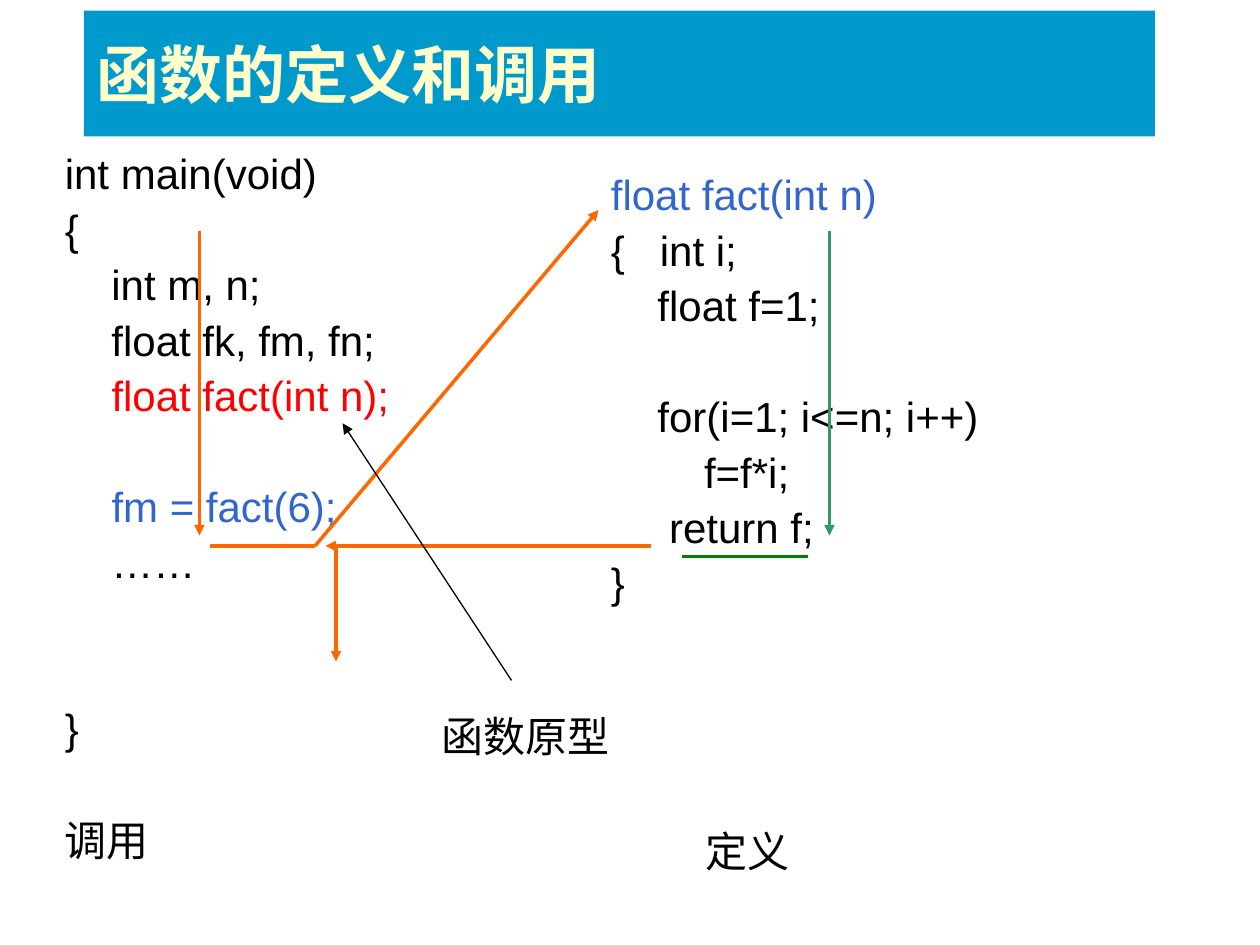
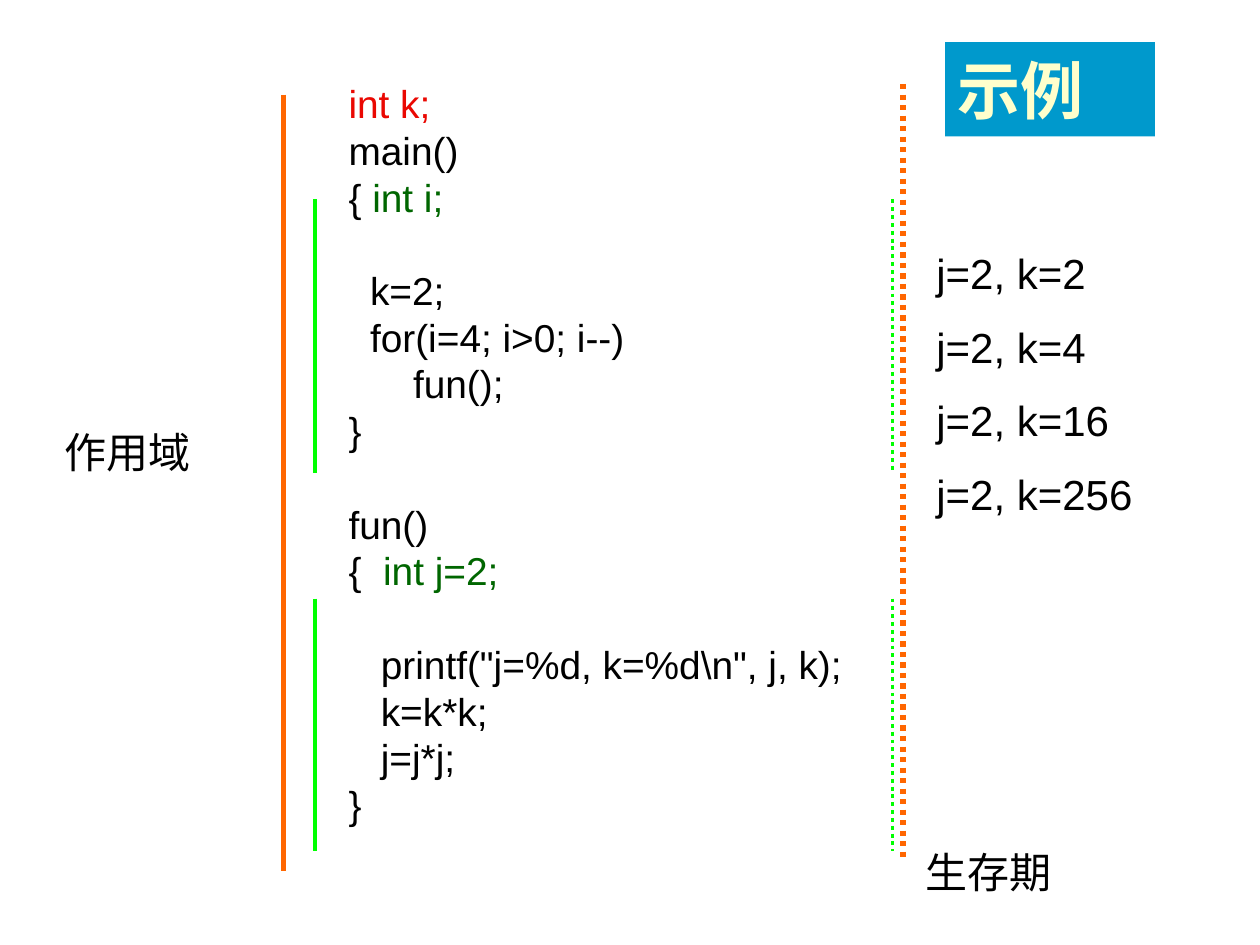
"""Build two slides on C functions: definition and call, then scope and lifetime."""
import dataclasses

import lxml.etree
import pptx
import pptx.dml.color
import pptx.enum.dml
import pptx.enum.shapes
import pptx.enum.text
import pptx.oxml.ns
import pptx.util

Pt = pptx.util.Pt
ANCHOR = pptx.enum.text.MSO_ANCHOR
ALIGN = pptx.enum.text.PP_ALIGN


@dataclasses.dataclass(frozen=True)
class Theme:
    band: str = "0099CC"
    title: str = "FFFFCC"
    ink: str = "000000"
    prototype: str = "FF0000"
    call: str = "3366CC"
    global_name: str = "EA0802"
    local_name: str = "006600"
    flow: str = "FF6600"
    inner_flow: str = "339966"
    result: str = "008000"
    local_span: str = "00FF00"
    title_font: str = "Montserrat"
    code_font: str = "Arial"
    label_font: str = "Calibri"
    title_size: float = 36
    text_size: float = 24
    listing_size: float = 22.2


theme = Theme()
TITLE = {"name": theme.title_font, "size": Pt(theme.title_size), "bold": True}
CODE = {"name": theme.code_font, "size": Pt(theme.text_size)}
LISTING = {"name": theme.code_font, "size": Pt(theme.listing_size)}
LABEL = {"name": theme.label_font, "size": Pt(theme.text_size)}


def write_text(box, lines, font_values, pitch=None, color=theme.ink, align=ALIGN.LEFT, **frame_values):
    """Fill a box with lines of (text, colour) spans; an empty line widens the gap."""
    frame = box.text_frame
    frame_format = {
        "word_wrap": True,
        "auto_size": pptx.enum.text.MSO_AUTO_SIZE.NONE,
        "vertical_anchor": ANCHOR.TOP,
        "margin_left": Pt(7.2),
        "margin_right": Pt(7.2),
        "margin_top": Pt(3.6),
        "margin_bottom": Pt(3.6),
    }
    for name, value in {**frame_format, **frame_values}.items():
        setattr(frame, name, value)
    para, gap = frame.paragraphs[0], 0
    for line in lines:
        if not line:
            gap += pitch
            continue
        if para.runs:
            para = frame.add_paragraph()
        para_format = {"alignment": align, "space_before": Pt(gap)}
        if pitch:
            para_format["line_spacing"] = Pt(pitch)
        for name, value in para_format.items():
            setattr(para, name, value)
        gap = 0
        for text, span_color in [(line, color)] if isinstance(line, str) else line:
            span = para.add_run()
            span.text = text
            for name, value in font_values.items():
                setattr(span.font, name, value)
            span.font.color.rgb = pptx.dml.color.RGBColor.from_string(span_color)


def draw_line(page, start, end, color, width, arrow=False, dotted=False):
    """Draw a straight line, with an arrowhead or dots where asked."""
    line = page.shapes.add_connector(
        pptx.enum.shapes.MSO_CONNECTOR.STRAIGHT, *map(Pt, start + end))
    line.line.color.rgb = pptx.dml.color.RGBColor.from_string(color)
    line.line.width = Pt(width)
    if dotted:
        line.line.dash_style = pptx.enum.dml.MSO_LINE.ROUND_DOT
    properties = line._element.spPr
    if arrow:
        lxml.etree.SubElement(
            properties.find(pptx.oxml.ns.qn("a:ln")), pptx.oxml.ns.qn("a:tailEnd"), type="triangle")
    lxml.etree.SubElement(properties, pptx.oxml.ns.qn("a:effectLst"))


deck = pptx.Presentation()
deck.slide_width, deck.slide_height = Pt(720), Pt(540)

pages = []
for heading, place in [
    ("函数的定义和调用", (48, 6, 612, 72)),
    ("示例", (540, 24, 120, 54)),
]:
    page = deck.slides.add_slide(deck.slide_layouts[5])
    title = page.shapes.title
    for name, value in zip(("left", "top", "width", "height"), place):
        setattr(title, name, Pt(value))
    title.fill.solid()
    title.fill.fore_color.rgb = pptx.dml.color.RGBColor.from_string(theme.band)
    write_text(title, [heading], TITLE, color=theme.title, vertical_anchor=ANCHOR.MIDDLE)
    pages.append(page)
call_page, scope_page = pages

caller_lines = [
    "int main(void)",
    "{",
    "    int m, n;",
    "    float fk, fm, fn;",
    [("    ", theme.ink), ("float fact(int n);", theme.prototype)],
    "",
    [("    ", theme.ink), ("fm = fact(6);", theme.call)],
    "    ……",
    "",
    "",
    "}",
]
definition_lines = [
    [("float fact(int n)", theme.call)],
    "{   int i;",
    "    float f=1;",
    "",
    "    for(i=1; i<=n; i++)",
    "        f=f*i;",
    "     return f;",
    "}",
]
for place, lines in [
    ((30, 78, 258, 378), caller_lines),
    ((342, 90, 270, 258), definition_lines),
]:
    box = call_page.shapes.add_textbox(*map(Pt, place))
    write_text(box, lines, CODE, pitch=31.7)

for start, end, color, arrow in [
    ((114, 132), (114, 306), theme.flow, True),
    ((120, 312), (180, 312), theme.flow, False),
    ((180, 312), (342, 120), theme.flow, True),
    ((474, 132), (474, 306), theme.inner_flow, True),
    ((390, 318), (462, 318), theme.result, False),
    ((372, 312), (186, 312), theme.flow, True),
    ((192, 312), (192, 378), theme.flow, True),
]:
    draw_line(call_page, start, end, color, 2, arrow)

prototype_label = call_page.shapes.add_textbox(Pt(235.4), Pt(394.6), Pt(130.3), Pt(51.1))
write_text(prototype_label, ["函数原型"], LABEL, align=ALIGN.CENTER,
           vertical_anchor=ANCHOR.MIDDLE, word_wrap=False)
draw_line(call_page, (292.3, 388.8), (195.8, 241.9), theme.ink, 0.75, arrow=True)

program_lines = [
    [("int k;", theme.global_name)],
    "main()",
    [("{ ", theme.ink), ("int i;", theme.local_name)],
    "",
    "  k=2;",
    "  for(i=4; i>0; i--)",
    "      fun();",
    "}",
    "",
    "fun()",
    [("{  ", theme.ink), ("int j=2;", theme.local_name)],
    "",
    "   printf(\"j=%d, k=%d\\n\", j, k);",
    "   k=k*k;",
    "   j=j*j;",
    "}",
]
program = scope_page.shapes.add_textbox(Pt(156), Pt(42), Pt(402), Pt(462))
write_text(program, program_lines, LISTING, pitch=26.7, margin_left=Pt(43.2))

for global_x, local_x, global_top, dotted in [(162, 180, 54, False), (516, 510, 48, True)]:
    draw_line(scope_page, (global_x, global_top), (global_x, global_top + 444),
              theme.flow, 3, dotted=dotted)
    for top, bottom in [(114, 270), (342, 486)]:
        draw_line(scope_page, (local_x, top), (local_x, bottom),
                  theme.local_span, 2.25, dotted=dotted)

for row, k in enumerate([2, 4, 16, 256]):
    box = scope_page.shapes.add_textbox(Pt(528), Pt(138 + 42 * row), Pt(144), Pt(36))
    write_text(box, [f"j=2, k={k}"], CODE, pitch=28.8)

for page, label, left, top in [
    (call_page, "调用", 30, 462),
    (call_page, "定义", 396, 468),
    (scope_page, "作用域", 30, 240),
    (scope_page, "生存期", 522, 480),
]:
    box = page.shapes.add_textbox(Pt(left), Pt(top), Pt(90), Pt(36))
    write_text(box, [label], LABEL)

deck.save("out.pptx")
